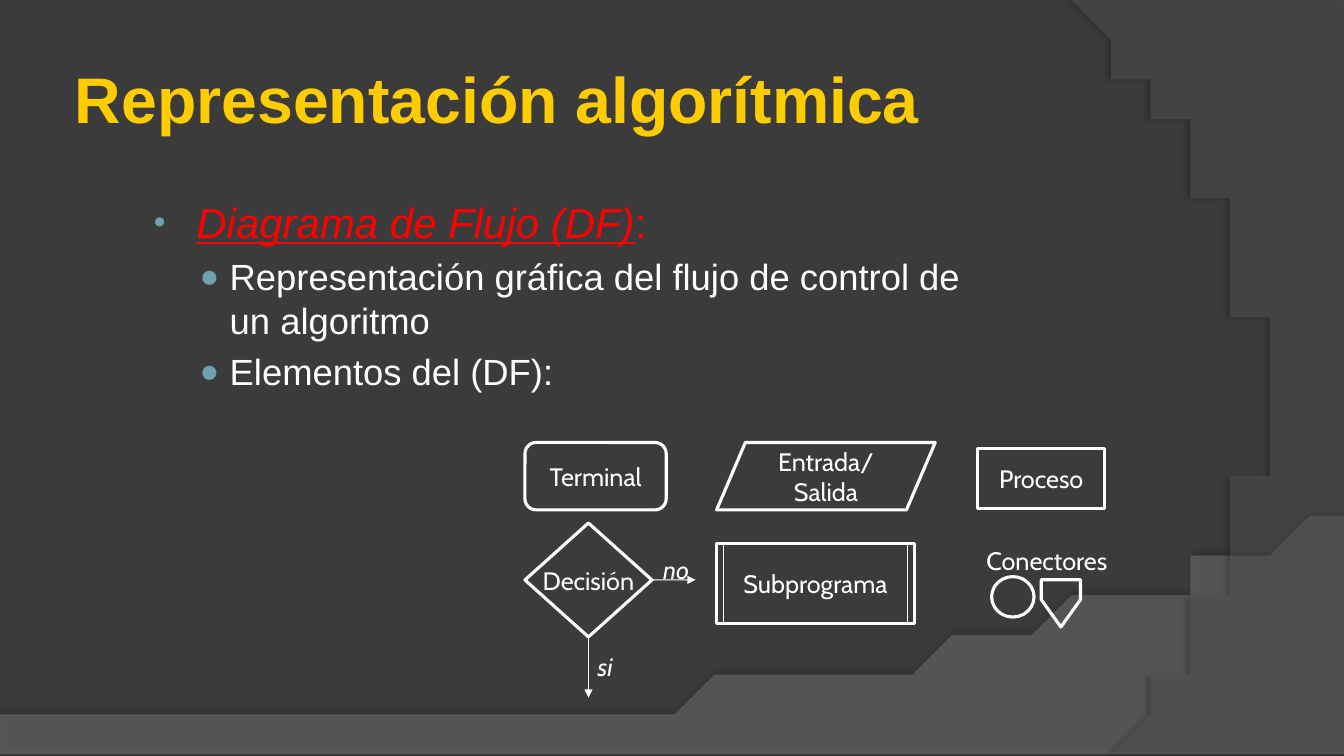
from lxml import etree
from pptx import Presentation
from pptx.dml.color import RGBColor
from pptx.enum.shapes import MSO_CONNECTOR, MSO_SHAPE
from pptx.enum.text import MSO_ANCHOR, PP_ALIGN
from pptx.oxml import parse_xml
from pptx.oxml.ns import nsdecls, qn
from pptx.util import Cm, Pt

BACKGROUND = RGBColor(0x3B, 0x3B, 0x3B)
LOW_WAVE = RGBColor(0x7F, 0x7F, 0x7F)
SIDE_WAVE = RGBColor(0x5E, 0x5E, 0x5E)
YELLOW = RGBColor(0xFF, 0xCC, 0x00)
RED = RGBColor(0xFF, 0x00, 0x00)
WHITE = RGBColor(0xFF, 0xFF, 0xFF)
BULLET = "6EA0B0"


def add_span(para, text, size, color, font="Cabin", italic=False):
    span = para.add_run()
    span.text = text
    span.font.size = Pt(size)
    span.font.name = font
    span.font.color.rgb = color
    span.font.italic = italic
    return span


def add_line(x1, y1, x2, y2, arrow=False):
    line = page.shapes.add_connector(
        MSO_CONNECTOR.STRAIGHT, Cm(x1), Cm(y1), Cm(x2), Cm(y2))
    line.line.color.rgb = WHITE
    line.line.width = Pt(0.75)
    if arrow:
        etree.SubElement(line.line._get_or_add_ln(), qn("a:tailEnd"), type="triangle")
    etree.SubElement(line._element.spPr, qn("a:effectLst"))
    return line


deck = Presentation()
deck.slide_width, deck.slide_height = Cm(33.87), Cm(19.05)
page = deck.slides.add_slide(deck.slide_layouts[5])
page.background.fill.solid()
page.background.fill.fore_color.rgb = BACKGROUND

# Background waves: corners before the curve, its four control points,
# colour, opacity, shadow opacity, shadow distance and shadow direction
waves = [
    ([(0, 17.91), (0, 19.05), (33.87, 19.05)],
     [(33.87, 13.21), (18.92, 18.52), (13.23, 18.26), (0, 17.91)],
     LOW_WAVE, 45, 35, 3.5, 270),
    ([(33.87, 0.05), (33.87, 19.05)],
     [(27.81, 19.05), (31.65, 15.72), (34.47, 7.62), (27.1, 0)],
     SIDE_WAVE, 40, 45, 4, 180),
]
STEPS = 60
for corners, controls, color, opacity, shade, distance, direction in waves:
    curve = []
    for step in range(STEPS + 1):
        t = step / STEPS
        weights = ((1 - t) ** 3, 3 * t * (1 - t) ** 2, 3 * t * t * (1 - t), t ** 3)
        curve.append(tuple(sum(w * point[axis] for w, point in zip(weights, controls))
                           for axis in (0, 1)))
    outline = page.shapes.build_freeform(*corners[0], scale=Cm(1))
    outline.add_line_segments(corners[1:] + curve, close=True)
    wave = outline.convert_to_shape()
    wave.fill.solid()
    wave.fill.fore_color.rgb = color
    wave.line.fill.background()
    tint = wave._element.spPr.find(qn("a:solidFill"))[0]
    etree.SubElement(tint, qn("a:alpha"), val=str(opacity * 1000))
    wave._element.spPr.append(parse_xml(
        f'<a:effectLst {nsdecls("a")}><a:outerShdw blurRad="{Pt(4)}" dist="{Pt(distance)}" '
        f'dir="{direction * 60000}" algn="ctr" rotWithShape="0"><a:srgbClr val="000000">'
        f'<a:alpha val="{shade * 1000}"/></a:srgbClr></a:outerShdw></a:effectLst>'))

# Title
title = page.shapes.title
title.left, title.top, title.width, title.height = Cm(1.55), Cm(1), Cm(23.44), Cm(3.17)
frame = title.text_frame
frame.vertical_anchor = MSO_ANCHOR.TOP
frame.margin_left, frame.margin_top = Cm(0.34), Cm(0.48)
frame.paragraphs[0].alignment = PP_ALIGN.LEFT
add_span(frame.paragraphs[0], "Representación algorítmica", 46, YELLOW, "Arial").font.bold = True

# Bulleted text: level, margin, indent, bullet, bullet size, text size, spans
items = [
    (0, 1.17, -1.07, "•", 80, 30, RED, ["Diagrama de Flujo (DF)", ":"]),
    (1, 2.01, -0.76, "●", 90, 26, WHITE,
     ["Representación gráfica del flujo de control de un algoritmo"]),
    (1, 2.01, -0.76, "●", 90, 26, WHITE, ["Elementos del (DF):"]),
]
frame = page.shapes.add_textbox(Cm(3.53), Cm(4.83), Cm(21.36), Cm(10.34)).text_frame
frame.word_wrap = True
for number, (level, margin, indent, mark, mark_size, size, color, texts) in enumerate(items):
    para = frame.add_paragraph() if number else frame.paragraphs[0]
    para.level = level
    para.space_before = Pt(size * 0.2)
    for text in texts:
        add_span(para, text, size, color, "Arial")
    settings = para._p.get_or_add_pPr()
    settings.set("marL", str(Cm(margin)))
    settings.set("indent", str(Cm(indent)))
    color_mark = etree.SubElement(settings, qn("a:buClr"))
    etree.SubElement(color_mark, qn("a:srgbClr"), val=BULLET)
    etree.SubElement(settings, qn("a:buSzPct"), val=str(mark_size * 1000))
    etree.SubElement(settings, qn("a:buFont"), typeface="Arial")
    etree.SubElement(settings, qn("a:buChar"), char=mark)
heading = frame.paragraphs[0].runs[0]
heading.font.italic = heading.font.underline = True

# Flowchart symbols
symbols = [
    (MSO_SHAPE.ROUNDED_RECTANGLE, 13.23, 11.15, 3.56, 1.7, 0.167, 0, ["Terminal"]),
    (MSO_SHAPE.PARALLELOGRAM, 18.06, 11.15, 5.51, 1.7, 0.427, 0, ["Entrada/", "Salida"]),
    (MSO_SHAPE.DIAMOND, 13.23, 13.18, 3.2, 2.87, None, 0, ["Decisión"]),
    (MSO_SHAPE.RECTANGLE, 18.06, 13.69, 4.98, 2.03, None, 0, ["Subprograma"]),
    (MSO_SHAPE.OVAL, 24.99, 14.53, 1.07, 1.02, None, 0, []),
    (MSO_SHAPE.PENTAGON, 26.14, 14.71, 1.19, 0.99, 0.697, 90, []),
    (MSO_SHAPE.RECTANGLE, 24.64, 11.3, 3.2, 1.52, None, 0, ["Proceso"]),
]
drawn = {}
for kind, left, top, width, height, adjust, turn, texts in symbols:
    box = page.shapes.add_shape(kind, Cm(left), Cm(top), Cm(width), Cm(height))
    box.shadow.inherit = False
    box.fill.background()
    box.line.color.rgb = WHITE
    box.line.width = Pt(2.25)
    box.rotation = turn
    if adjust is not None:
        box.adjustments[0] = adjust
    frame = box.text_frame
    frame.word_wrap = False
    frame.vertical_anchor = MSO_ANCHOR.MIDDLE
    for number, text in enumerate(texts):
        para = frame.add_paragraph() if number else frame.paragraphs[0]
        para.alignment = PP_ALIGN.CENTER
        add_span(para, text, 18, WHITE)
        drawn[text] = box

# Inner bars of the subprogram symbol
for x in (18.24, 22.86):
    add_line(x, 13.69, x, 15.7)

# Arrows leaving the decision
add_line(14.83, 16.05, 14.83, 17.58, arrow=True).begin_connect(drawn["Decisión"], 2)
add_line(16.43, 14.61, 17.53, 14.61, arrow=True).begin_connect(drawn["Decisión"], 3)

# Free labels
labels = [
    ("Conectores", 24.61, 13.61, 3.61, False),
    ("si", 14.81, 16.28, 1.47, True),
    ("no", 16.46, 13.84, 1.22, True),
]
for text, left, top, width, italic in labels:
    frame = page.shapes.add_textbox(Cm(left), Cm(top), Cm(width), Cm(1.02)).text_frame
    frame.word_wrap = text == "si"
    add_span(frame.paragraphs[0], text, 18, WHITE, italic=italic)

deck.save("out.pptx")
